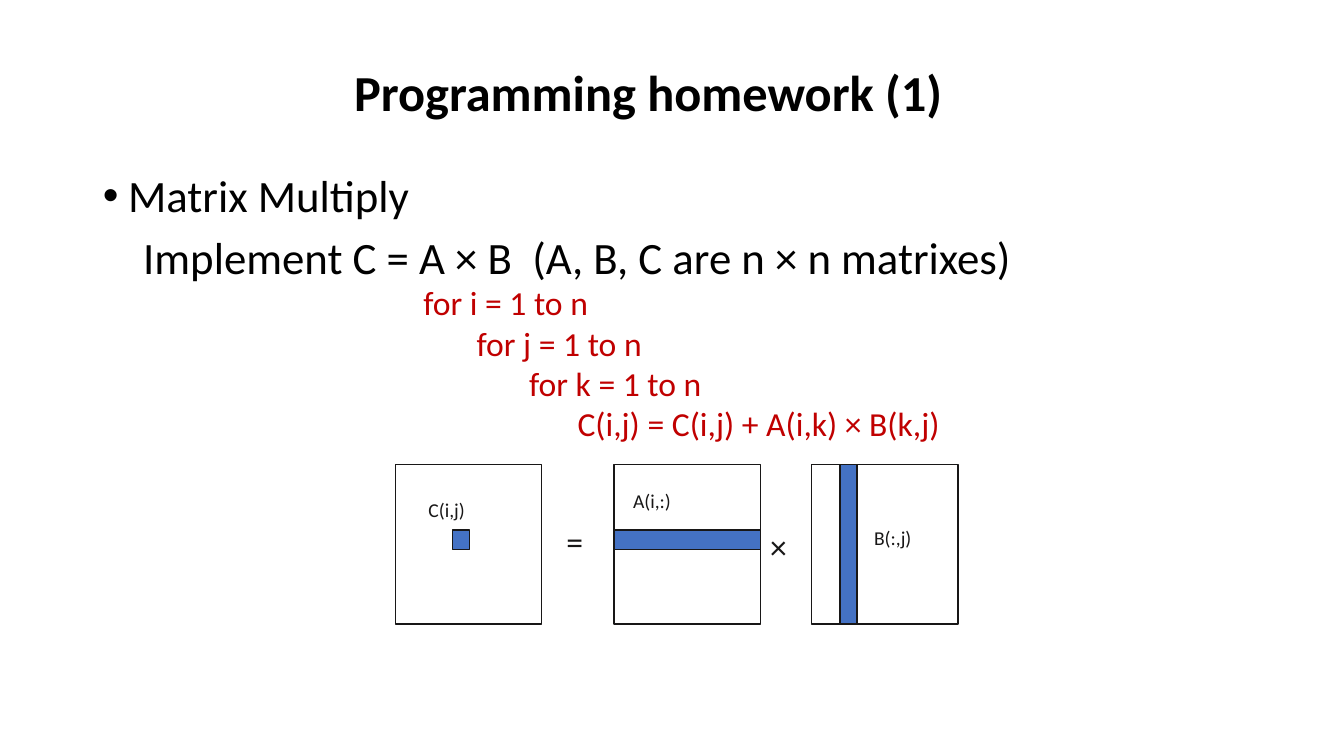
from pptx import Presentation
from pptx.dml.color import RGBColor
from pptx.enum.shapes import MSO_SHAPE
from pptx.enum.text import MSO_ANCHOR, MSO_AUTO_SIZE, PP_ALIGN
from pptx.oxml.ns import qn
from pptx.util import Inches, Pt

RECT = MSO_SHAPE.RECTANGLE
TOP, MIDDLE = MSO_ANCHOR.TOP, MSO_ANCHOR.MIDDLE
LEFT, CENTER = PP_ALIGN.LEFT, PP_ALIGN.CENTER
FIXED = MSO_AUTO_SIZE.NONE
BLACK = RGBColor(0x00, 0x00, 0x00)
INK = RGBColor(0x18, 0x17, 0x17)
RED = RGBColor(0xC0, 0x00, 0x00)
BLUE = RGBColor(0x44, 0x72, 0xC4)

TITLE = "Programming homework (1)"
BODY = [
    ("Matrix Multiply", 0.25, "•"),
    ("Implement C = A × B  (A, B, C are n × n matrixes)", 0.4, None),
]
CODE = [
    ("for i = 1 to n", 0, None),
    ("for j = 1 to n", 0.53, None),
    ("for k = 1 to n", 1.05, None),
    ("C(i,j) = C(i,j) + A(i,k) × B(k,j)", 1.53, None),
]
TALL, WIDE = 1.58, 1.45
ROW, COL = 0.19, 0.17
MATS = [
    (3.92, (0.57, 0.65, COL, ROW), ("C(i,j)", 0.23, 0.28)),
    (6.09, (0, 0.65, WIDE, ROW), ("A(i,:)", 0.09, 0.19)),
    (8.05, (0.28, 0, COL, TALL), ("B(:,j)", 0.52, 0.56)),
]
MAT_TOP = 4.61
SIGNS = [("=", 5.52, 5.12), ("×", 7.54, 5.17)]

deck = Presentation()
deck.slide_width, deck.slide_height = Inches(13.33), Inches(7.5)
slide = deck.slides.add_slide(deck.slide_layouts[1])
shapes = slide.shapes


def write(text, at, size, color, box=None, bold=False, align=LEFT,
          anchor=TOP, line=1.0, before=0):
    if box is None:
        box = shapes.add_textbox(0, 0, 0, 0)
    box.left, box.top, box.width, box.height = map(Inches, at)
    frame = box.text_frame
    frame.word_wrap = True
    frame.auto_size = FIXED
    frame.vertical_anchor = anchor
    rows = [(text, 0, None)] if isinstance(text, str) else text
    for i, (words, indent, mark) in enumerate(rows):
        para = frame.add_paragraph() if i else frame.paragraphs[0]
        para.alignment = align
        para.line_spacing = line
        para.space_before = Pt(before)
        props = para._p.get_or_add_pPr()
        props.set("marL", str(Inches(indent)))
        props.set("indent", str(-Inches(indent) if mark else 0))
        if mark:
            props.makeelement(qn("a:buChar"), {})
            dot = props.makeelement(qn("a:buChar"), {"char": mark})
        else:
            dot = props.makeelement(qn("a:buNone"), {})
        props.append(dot)
        run = para.add_run()
        run.text = words
        font = run.font
        font.name, font.size, font.bold = "Calibri", Pt(size), bold
        font.color.rgb = color


def block(at, fill=None):
    rect = shapes.add_shape(RECT, *map(Inches, at))
    rect.shadow.inherit = False
    if fill is None:
        rect.fill.background()
    else:
        rect.fill.solid()
        rect.fill.fore_color.rgb = fill
    rect.line.color.rgb = INK
    rect.line.width = Pt(1)


write(TITLE, (0.85, 0.4, 11.16, 1.09), 36, BLACK, box=shapes.title,
      bold=True, align=CENTER, anchor=MIDDLE, line=0.9)
write(BODY, (0.92, 1.67, 11.16, 5.09), 32, BLACK,
      box=slide.placeholders[1], line=0.9, before=10)

for left, (dx, dy, wide, tall), (label, lx, ly) in MATS:
    block((left, MAT_TOP, WIDE, TALL))
    block((left + dx, MAT_TOP + dy, wide, tall), BLUE)
    write(label, (left + lx, MAT_TOP + ly, 0.85, 0.34), 14, INK)
for sign, left, top in SIGNS:
    write(sign, (left, top, 0.5, 0.5), 24, INK)
write(CODE, (4.1, 2.75, 5.4, 1.72), 24, RED)

deck.save("out.pptx")
